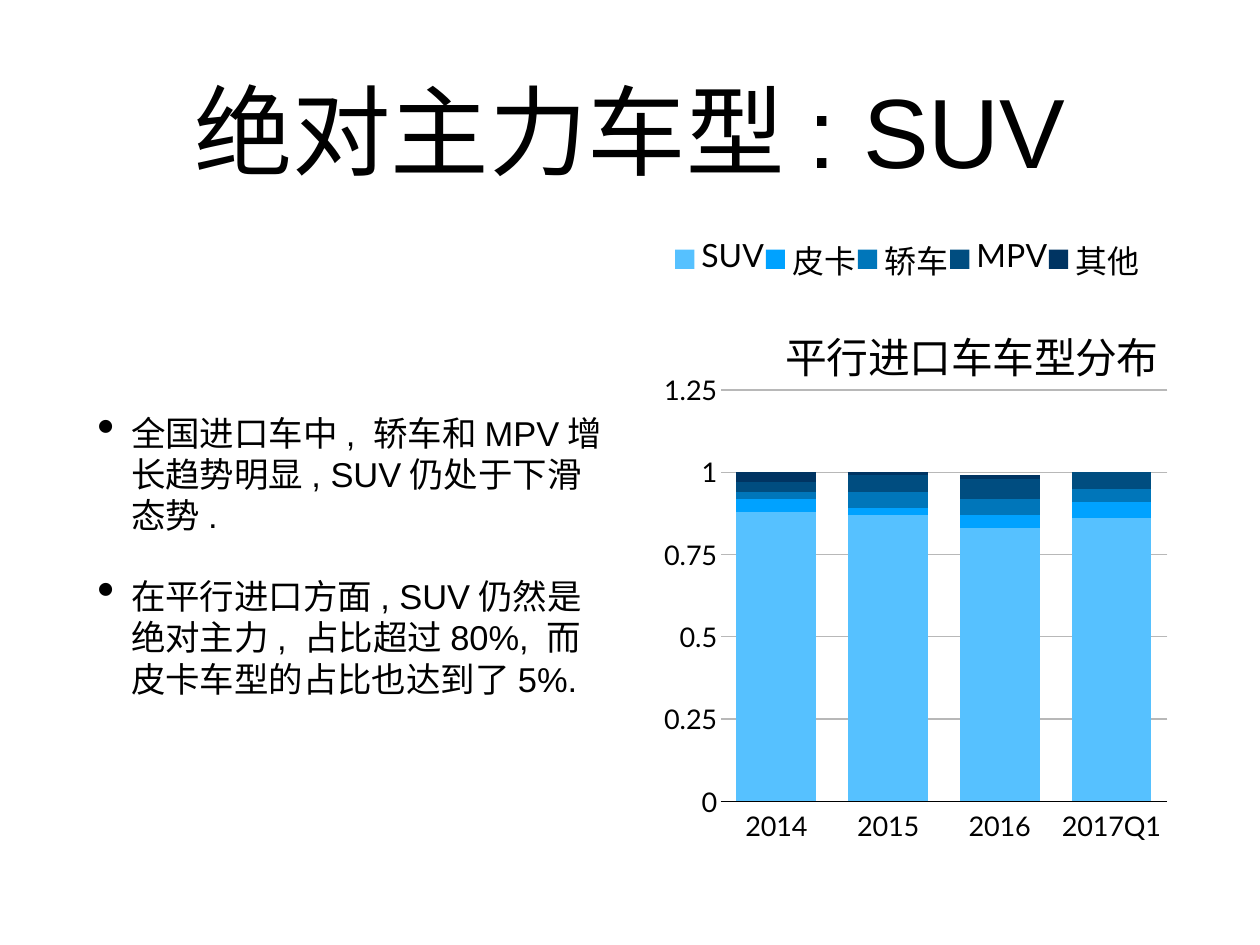
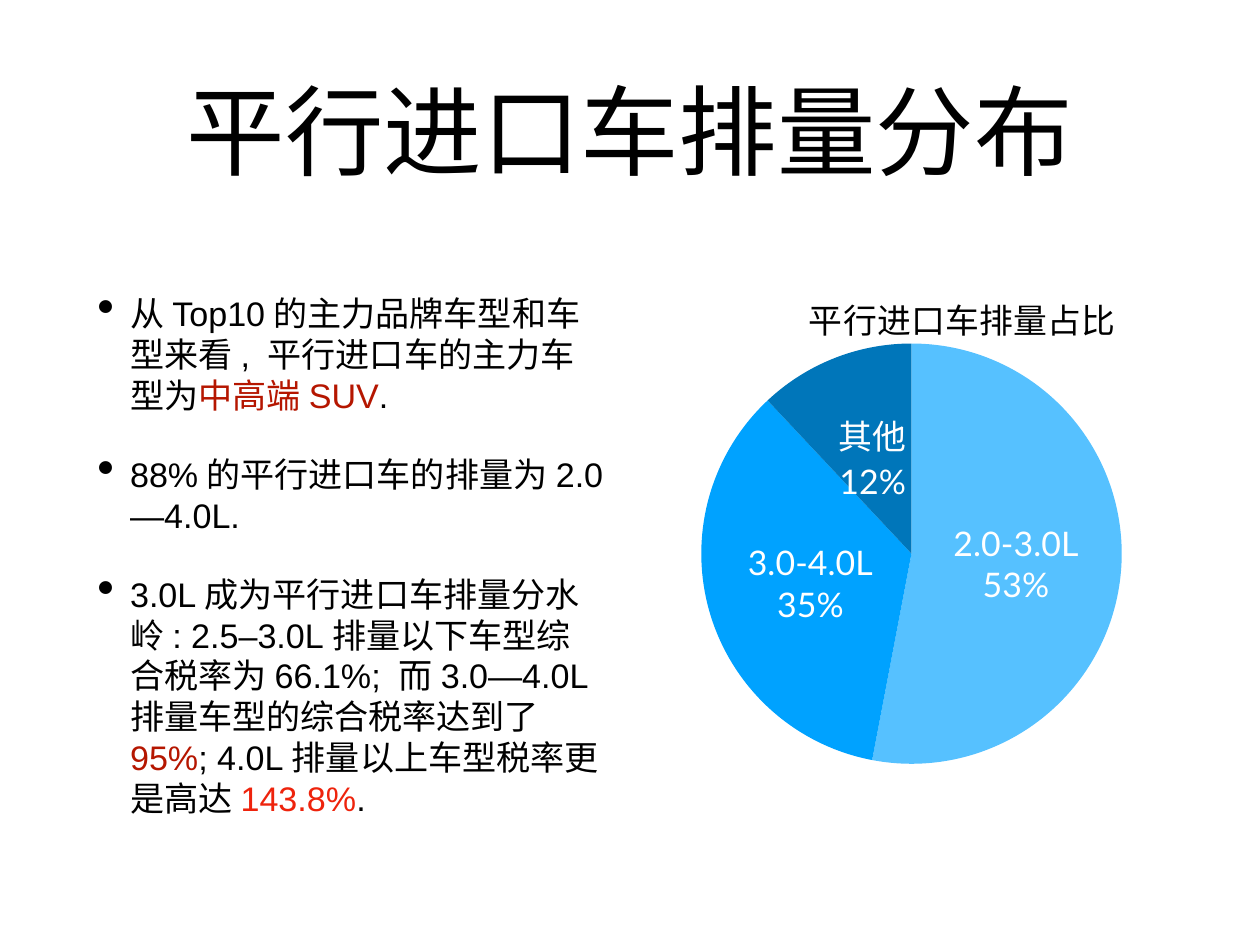
from lxml import etree
from pptx import Presentation
from pptx import util as u
from pptx.chart import data as chart_data
from pptx.dml.color import RGBColor
from pptx.enum import chart as ce
from pptx.enum import text as te
from pptx.oxml import ns

BLACK = RGBColor(0x00, 0x00, 0x00)
WHITE = RGBColor(0xFF, 0xFF, 0xFF)
GRID = RGBColor(0xB8, 0xB8, 0xB8)
DARK_RED = RGBColor(0xB5, 0x16, 0x00)
RED = RGBColor(0xEE, 0x23, 0x0C)
BLUES = [
    RGBColor(0x56, 0xC1, 0xFF),
    RGBColor(0x00, 0xA2, 0xFF),
    RGBColor(0x00, 0x76, 0xBA),
    RGBColor(0x00, 0x4D, 0x80),
    RGBColor(0x00, 0x34, 0x62),
]
TEXT_FONT = "Arial"
CHART_FONT = "Lato"

TITLE_BOX = (2.64, 0.71, 30.84, 5.99)
BODY_BOX = (2.64, 7.19, 14.81, 17.48)
COLUMN_BOX = (18.57, 6.02, 14.91, 18.44)
PIE_BOX = (19.96, 7.7, 12.22, 14.35)

MODEL_POINTS = [
    [("全国进口车中, 轿车和MPV增长趋势明显, SUV仍处于下滑态势.", BLACK)],
    [("在平行进口方面, SUV仍然是绝对主力, 占比超过80%, 而皮卡车型的占比也达到了5%.", BLACK)],
]
MODEL_YEARS = ["2014", "2015", "2016", "2017Q1"]
MODEL_SHARES = {
    "SUV": (0.88, 0.87, 0.83, 0.86),
    "皮卡": (0.04, 0.02, 0.04, 0.05),
    "轿车": (0.02, 0.05, 0.05, 0.04),
    "MPV": (0.03, 0.05, 0.06, 0.05),
    "其他": (0.03, 0.01, 0.01, 0),
}
ENGINE_POINTS = [
    [
        ("从Top10的主力品牌车型和车型来看, 平行进口车的主力车型为", BLACK),
        ("中高端SUV", DARK_RED),
        (".", BLACK),
    ],
    [("88%的平行进口车的排量为2.0—4.0L.", BLACK)],
    [
        ("3.0L成为平行进口车排量分水岭: 2.5–3.0L排量以下车型综合税率为66.1%; "
         "而3.0—4.0L排量车型的综合税率达到了", BLACK),
        ("95%", DARK_RED),
        ("; 4.0L排量以上车型税率更是高达", BLACK),
        ("143.8%", RED),
        (".", BLACK),
    ],
]
ENGINE_SHARES = {"2.0-3.0L": 53, "3.0-4.0L": 35, "其他": 12}


def set_font(font, size, color=BLACK, name=CHART_FONT):
    """Give a font its size, colour and typeface."""
    font.size = u.Pt(size)
    font.color.rgb = color
    font.name = name
    font.bold = False


def add_text_frame(page, box):
    """Add a wrapping, vertically centred text box and return its frame."""
    frame = page.shapes.add_textbox(*map(u.Cm, box)).text_frame
    frame.word_wrap = True
    frame.vertical_anchor = te.MSO_ANCHOR.MIDDLE
    frame.margin_left = frame.margin_right = u.Cm(0.15)
    frame.margin_top = frame.margin_bottom = u.Cm(0.15)
    return frame


def add_title(page, box, title):
    """Write the centred slide title."""
    para = add_text_frame(page, box).paragraphs[0]
    para.text = title
    para.alignment = te.PP_ALIGN.CENTER
    set_font(para.runs[0].font, 80, name=TEXT_FONT)


def add_bullets(page, box, points, size, space, indent):
    """Write bulleted paragraphs made of coloured spans."""
    frame = add_text_frame(page, box)
    for number, spans in enumerate(points):
        para = frame.add_paragraph() if number else frame.paragraphs[0]
        para.space_before = u.Pt(space)
        for words, color in spans:
            span = para.add_run()
            span.text = words
            set_font(span.font, size, color, TEXT_FONT)
        props = para._p.get_or_add_pPr()
        props.set("marL", str(u.Cm(indent)))
        props.set("indent", str(-u.Cm(indent)))
        etree.SubElement(props, ns.qn("a:buSzPct"), val="145000")
        etree.SubElement(props, ns.qn("a:buChar"), char="•")


def set_layout(element, index, **values):
    """Place a chart part by fractions of the chart area."""
    for old in element.findall(ns.qn("c:layout")):
        element.remove(old)
    layout = etree.Element(ns.qn("c:layout"))
    manual = etree.SubElement(layout, ns.qn("c:manualLayout"))
    for key, value in values.items():
        etree.SubElement(manual, ns.qn("c:" + key), val=str(value))
    element.insert(index, layout)


def add_chart(page, box, kind, content, title, size, title_at, plot_at):
    """Add a chart with a placed title and plot area."""
    chart = page.shapes.add_chart(kind, *map(u.Cm, box), content).chart
    set_font(chart.font, 10, name=TEXT_FONT)
    chart.has_title = True
    heading = chart.chart_title
    para = heading.text_frame.paragraphs[0]
    para.text = title
    set_font(para.runs[0].font, size)
    heading._element.find(ns.qn("c:overlay")).set("val", "1")
    left, top = title_at
    set_layout(heading._element, 1, xMode="edge", yMode="edge", x=left, y=top)
    left, top, width, height = plot_at
    set_layout(chart._chartSpace.chart.plotArea, 0, layoutTarget="inner",
               xMode="edge", yMode="edge", x=left, y=top, w=width, h=height)
    return chart


def add_model_chart(page, box):
    """Draw the stacked columns of vehicle types by year."""
    content = chart_data.CategoryChartData()
    content.categories = MODEL_YEARS
    for name, shares in MODEL_SHARES.items():
        content.add_series(name, shares)
    chart = add_chart(page, box, ce.XL_CHART_TYPE.COLUMN_STACKED, content,
                      "平行进口车车型分布", 34, (0.25, 0.16), (0.14, 0.28, 0.86, 0.64))
    plot = chart.plots[0]
    plot.gap_width = 40
    plot.overlap = 100
    plot.vary_by_categories = False
    for series, color in zip(plot.series, BLUES):
        series.format.fill.solid()
        series.format.fill.fore_color.rgb = color

    for axis in (chart.category_axis, chart.value_axis):
        axis.major_tick_mark = axis.minor_tick_mark = ce.XL_TICK_MARK.NONE
        set_font(axis.tick_labels.font, 22)
    years, shares = chart.category_axis, chart.value_axis
    years.tick_label_position = ce.XL_TICK_LABEL_POSITION.LOW
    years.format.line.color.rgb = BLACK
    years.format.line.width = u.Pt(1)
    shares.minimum_scale, shares.maximum_scale, shares.major_unit = 0, 1.25, 0.25
    shares.tick_labels.number_format = "General"
    shares.tick_labels.number_format_is_linked = False
    shares.format.line.fill.background()
    shares.major_gridlines.format.line.color.rgb = GRID
    shares.major_gridlines.format.line.width = u.Pt(1)

    chart.has_legend = True
    legend = chart.legend
    legend.position = ce.XL_LEGEND_POSITION.TOP
    legend.include_in_layout = True
    set_font(legend.font, 26)
    set_layout(legend._element, 1, xMode="edge", yMode="edge",
               x=0.05, y=0.04, w=0.9, h=0.07)


def add_engine_chart(page, box):
    """Draw the pie of engine sizes."""
    content = chart_data.CategoryChartData()
    content.categories = list(ENGINE_SHARES)
    content.add_series("Series 1", list(ENGINE_SHARES.values()))
    chart = add_chart(page, box, ce.XL_CHART_TYPE.PIE, content,
                      "平行进口车排量占比", 27.5, (0.25, 0.03), (0.01, 0.15, 0.99, 0.84))
    chart.has_legend = False
    series = chart.plots[0].series[0]
    for number, color in enumerate(BLUES[:len(ENGINE_SHARES)]):
        fill = series.points[number].format.fill
        fill.solid()
        fill.fore_color.rgb = color
    labels = series.data_labels
    labels.show_value = False
    labels.show_category_name = labels.show_percentage = True
    labels.position = ce.XL_LABEL_POSITION.CENTER
    labels.number_format = "#,##0%"
    labels.number_format_is_linked = False
    set_font(labels.font, 27.5, WHITE)
    separator = etree.Element(ns.qn("c:separator"))
    separator.text = "\n"
    labels._element.find(ns.qn("c:showBubbleSize")).addnext(separator)


def add_page(deck, title):
    """Add a white page with its title."""
    page = deck.slides.add_slide(deck.slide_layouts[6])
    page.background.fill.solid()
    page.background.fill.fore_color.rgb = WHITE
    add_title(page, TITLE_BOX, title)
    return page


def main():
    """Build the two pages and save the deck."""
    deck = Presentation()
    deck.slide_width, deck.slide_height = u.Cm(36.12), u.Cm(27.1)

    page = add_page(deck, "绝对主力车型: SUV")
    add_bullets(page, BODY_BOX, MODEL_POINTS, 28, 32, 0.97)
    add_model_chart(page, COLUMN_BOX)

    page = add_page(deck, "平行进口车排量分布")
    add_bullets(page, BODY_BOX, ENGINE_POINTS, 27.7, 31, 0.94)
    add_engine_chart(page, PIE_BOX)

    deck.save("out.pptx")


if __name__ == "__main__":
    main()
